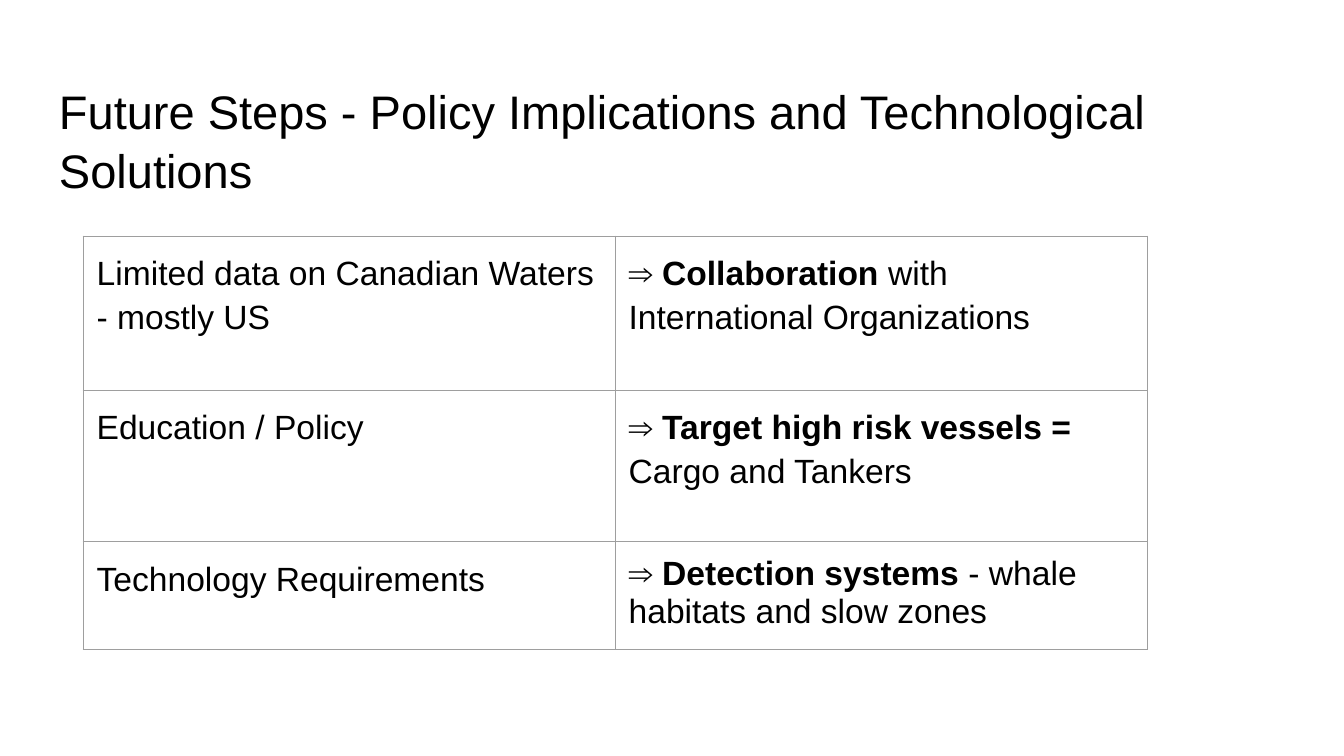
from lxml.etree import SubElement
from pptx import Presentation
from pptx.dml.color import RGBColor
from pptx.oxml.ns import qn
from pptx.util import Pt

COLORS = {"text": "000000", "border": "9E9E9E", "background": "FFFFFF"}
FONT = "Arial"
INSET = Pt(7.2)

TITLE = "Future Steps - Policy Implications and Technological Solutions"
COLUMN_WIDTH = 285
# Row height, issue, space after issue, (bold, plain) response, response line spacing
ROWS = [
    (82.6, "Limited data on Canadian Waters - mostly US", 12,
     ("Collaboration", " with International Organizations"), 1.15),
    (81, "Education / Policy", 0,
     ("Target high risk vessels = ", "Cargo and Tankers"), 1.15),
    (57, "Technology Requirements", 12,
     ("Detection systems ", "- whale habitats and slow zones"), 1),
]


def set_insets(target):
    target.margin_left = target.margin_right = INSET
    target.margin_top = target.margin_bottom = INSET


def write_paragraph(p, runs, size, spacing, after=0):
    """Fill a paragraph with (text, bold) runs."""
    p.font.name = FONT
    p.font.size = Pt(size)
    p.font.color.rgb = RGBColor.from_string(COLORS["text"])
    p.line_spacing = spacing
    p.space_after = Pt(after)
    for text, bold in runs:
        r = p.add_run()
        r.text = text
        if bold:
            r.font.bold = True


def add_title(s):
    sp = s.shapes.add_textbox(Pt(24.5), Pt(35.3), Pt(671), Pt(45.4))
    tf = sp.text_frame
    tf.word_wrap = True
    set_insets(tf)
    write_paragraph(tf.paragraphs[0], [(TITLE, False)], 25.2, 1.05)


def add_borders(cell):
    tc_pr = cell._tc.get_or_add_tcPr()
    for side in ("a:lnL", "a:lnR", "a:lnT", "a:lnB"):
        ln = SubElement(tc_pr, qn(side), w=str(Pt(0.75)))
        fill = SubElement(ln, qn("a:solidFill"))
        SubElement(fill, qn("a:srgbClr"), val=COLORS["border"])


def fill_cell(cell, runs, spacing, after=0):
    set_insets(cell)
    add_borders(cell)
    cell.fill.background()
    write_paragraph(cell.text_frame.paragraphs[0], runs, 18, spacing, after)


def add_policy_table(s):
    height = sum(row[0] for row in ROWS)
    table = s.shapes.add_table(len(ROWS), 2, Pt(44.6), Pt(126.6),
                               Pt(2 * COLUMN_WIDTH), Pt(height)).table
    table.first_row = table.horz_banding = False
    for column in table.columns:
        column.width = Pt(COLUMN_WIDTH)
    for i, (row_height, issue, after, (bold, plain), spacing) in enumerate(ROWS):
        table.rows[i].height = Pt(row_height)
        fill_cell(table.cell(i, 0), [(issue, False)], 1.15, after)
        response = [("⇒ ", False), (bold, True), (plain, False)]
        fill_cell(table.cell(i, 1), response, spacing)


def main():
    prs = Presentation()
    prs.slide_width, prs.slide_height = Pt(720), Pt(405)
    s = prs.slides.add_slide(prs.slide_layouts[6])
    s.background.fill.solid()
    s.background.fill.fore_color.rgb = RGBColor.from_string(COLORS["background"])

    # Heading
    add_title(s)
    # Issues and responses
    add_policy_table(s)

    prs.save("out.pptx")


if __name__ == "__main__":
    main()
